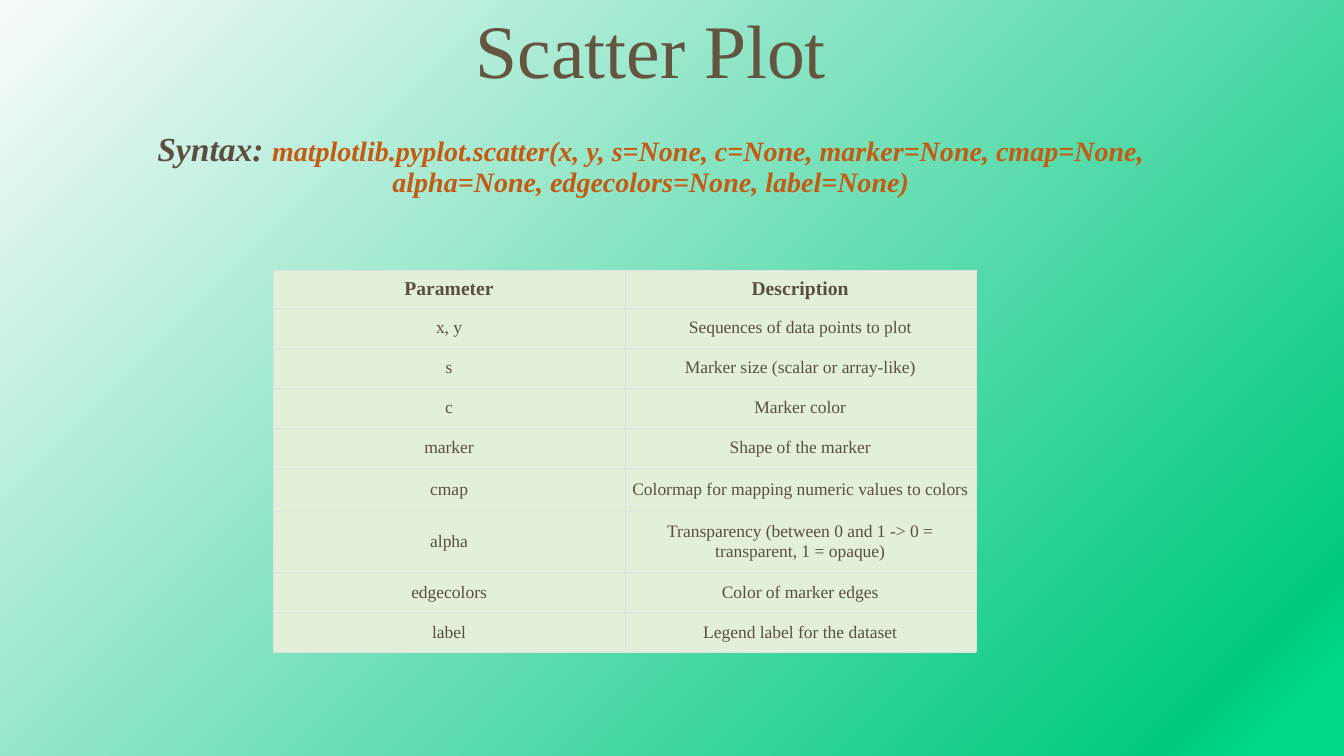
from pptx import Presentation
from pptx import util as u
from pptx.dml.color import RGBColor
from pptx.enum import text
from pptx.oxml import parse_xml
from pptx.oxml.ns import nsdecls

COLORS = {"title": "635540", "body": "5C4E3D", "code": "C55A11",
          "cell": "E2F0D9", "border": "DFDFDF"}
BACKGROUND = [(0, "F7FAFD"), (91, "00CA7D"), (96, "00D986"), (100, "00D986")]

PARAMETERS = [
    ("Parameter", "Description"),
    ("x, y", "Sequences of data points to plot"),
    ("s", "Marker size (scalar or array-like)"),
    ("c", "Marker color"),
    ("marker", "Shape of the marker"),
    ("cmap", "Colormap for mapping numeric values to colors"),
    ("alpha", "Transparency (between 0 and 1 -> 0 = transparent, 1 = opaque)"),
    ("edgecolors", "Color of marker edges"),
    ("label", "Legend label for the dataset"),
]
ROW_HEIGHTS = {"Parameter": 26, "cmap": 31, "alpha": 41.5}


class SlideBuilder:
    font = "Times New Roman"

    def __init__(self, slide):
        self.s = slide

    def background(self, stops, angle):
        gs = "".join(f'<a:gs pos="{pos * 1000}"><a:srgbClr val="{color}"/></a:gs>'
                     for pos, color in stops)
        bg = parse_xml(
            f'<p:bg {nsdecls("p", "a")}><p:bgPr><a:gradFill rotWithShape="1">'
            f'<a:gsLst>{gs}</a:gsLst><a:lin ang="{angle * 60000}" scaled="0"/>'
            '</a:gradFill><a:effectLst/></p:bgPr></p:bg>')
        self.s.element.cSld.insert(0, bg)

    def run(self, p, words, color, **fmt):
        r = p.add_run()
        r.text = words
        r.font.color.rgb = RGBColor.from_string(COLORS[color])
        fmt["size"] = u.Pt(fmt["size"])
        for name, value in {"name": self.font, **fmt}.items():
            setattr(r.font, name, value)

    def textbox(self, box, runs, anchor):
        tf = self.s.shapes.add_textbox(*map(u.Pt, box)).text_frame
        tf.word_wrap = True
        tf.vertical_anchor = anchor
        p = tf.paragraphs[0]
        p.alignment = text.PP_ALIGN.CENTER
        p.line_spacing = 0.9
        for words, color, fmt in runs:
            self.run(p, words, color, **fmt)

    def cell(self, cell, words, header):
        pad = 5 if header else 6.8
        layout = {"margin_left": u.Pt(5), "margin_right": u.Pt(5),
                  "margin_top": u.Pt(pad), "margin_bottom": u.Pt(pad),
                  "vertical_anchor": text.MSO_ANCHOR.MIDDLE}
        for name, value in layout.items():
            setattr(cell, name, value)
        # Borders come before the fill
        for side in ("lnL", "lnR", "lnT", "lnB"):
            cell._tc.get_or_add_tcPr().append(parse_xml(
                f'<a:{side} {nsdecls("a")} w="{u.Pt(0.15)}"><a:solidFill>'
                f'<a:srgbClr val="{COLORS["border"]}"/></a:solidFill></a:{side}>'))
        cell.fill.solid()
        cell.fill.fore_color.rgb = RGBColor.from_string(COLORS["cell"])
        p = cell.text_frame.paragraphs[0]
        p.alignment = text.PP_ALIGN.CENTER
        self.run(p, words, "body", size=14 if header else 12.5, bold=header)

    def table(self, left, top, width, rows):
        heights = [ROW_HEIGHTS.get(row[0], 27.7) for row in rows]
        box = map(u.Pt, (left, top, width, sum(heights)))
        table = self.s.shapes.add_table(len(rows), len(rows[0]), *box).table
        table.first_row = table.horz_banding = False
        for i, row in enumerate(rows):
            table.rows[i].height = u.Pt(heights[i])
            for j, words in enumerate(row):
                self.cell(table.cell(i, j), words, header=i == 0)


def main():
    prs = Presentation()
    prs.slide_width, prs.slide_height = u.Pt(960), u.Pt(540)
    builder = SlideBuilder(prs.slides.add_slide(prs.slide_layouts[6]))
    builder.background(BACKGROUND, 45)

    # Title
    builder.textbox((195, 0, 540, 71.3), [("Scatter Plot", "title", {"size": 54})],
                    text.MSO_ANCHOR.BOTTOM)

    # Syntax line
    emphasis = {"bold": True, "italic": True}
    builder.textbox((105, 90.7, 720, 130.3), [
        ("Syntax: ", "body", {"size": 24, **emphasis}),
        ("matplotlib.pyplot.scatter(x, y, s=None, c=None, marker=None, cmap=None, "
         "alpha=None, edgecolors=None, label=None)", "code", {"size": 20, **emphasis}),
    ], text.MSO_ANCHOR.TOP)

    # Parameter table
    builder.table(195.4, 193, 501.6, PARAMETERS)
    prs.save("out.pptx")


if __name__ == "__main__":
    main()
